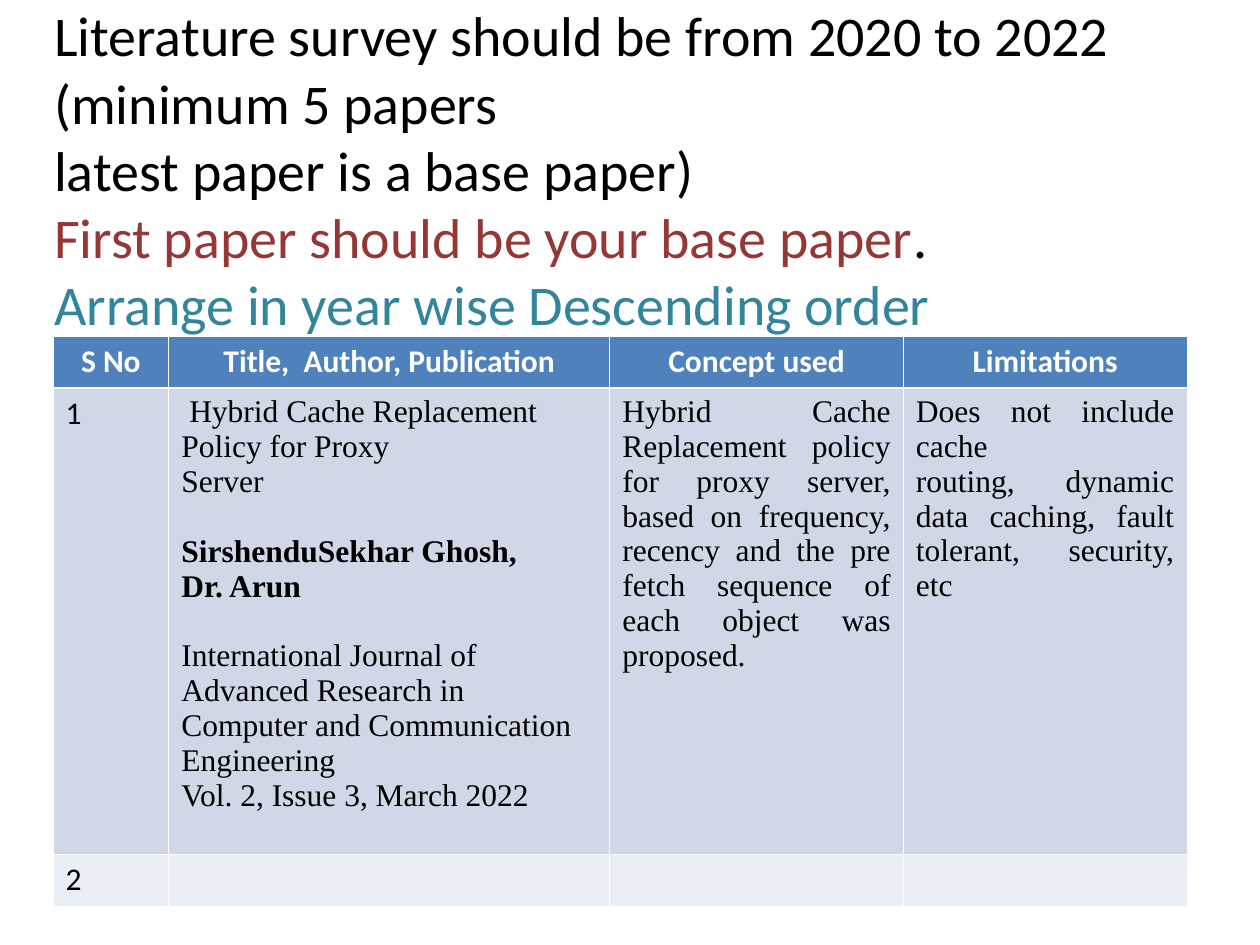
from pptx import Presentation as Deck
from pptx.util import Inches as In, Pt
from pptx.dml.color import RGBColor as Rgb
from pptx.enum.text import MSO_ANCHOR as Anchor, MSO_AUTO_SIZE as Fit, PP_ALIGN as Align
from pptx.oxml import parse_xml

TITLE = [
    [("Literature survey should be from 2020 to 2022 (minimum 5 papers", "black")],
    [("latest paper is a base paper) ", "black")],
    [("First paper should be your base paper", "red"), (".", "black")],
    [("Arrange in year wise Descending order", "teal")],
]
HEAD = ["S No", "Title,  Author, Publication", "Concept used", "Limitations"]
PAPER = [
    [" Hybrid Cache Replacement Policy for Proxy", "Server"],
    ["SirshenduSekhar Ghosh,", "Dr. Arun"],
    ["International Journal of Advanced Research in Computer and "
     "Communication Engineering", "Vol. 2, Issue 3, March 2022"],
]
IDEA = ["Hybrid Cache Replacement policy for proxy server, based on frequency, "
        "recency and the pre fetch sequence of each object was proposed."]
LIMITS = ["Does not include cache",
          "routing, dynamic data caching, fault tolerant, security, etc"]
COLS = [0.92, 3.5, 2.33, 2.25]
ROWS = [0.41, 3.7, 0.41]

THEME = {
    "black": "000000", "white": "FFFFFF", "red": "953735", "teal": "31859C",
    "fills": ["4F81BD", "D0D8E8", "E9EDF4"],
    "title": {"name": "Calibri", "size": Pt(32), "bold": False},
    "head": {"name": "Calibri", "size": Pt(18), "bold": True},
    "mark": {"name": "Calibri", "size": Pt(18), "bold": False},
    "body": {"name": "Times New Roman", "size": Pt(18), "bold": False},
    "names": {"name": "Times New Roman", "size": Pt(18), "bold": True},
    "gap": Pt(20), "thin": 0.45, "thick": 1.47,
}
NS = "http://schemas.openxmlformats.org/drawingml/2006/main"


def put(obj, vals):
    for key, val in vals.items():
        setattr(obj, key, val)


def add_run(para, text, style, color):
    run = para.add_run()
    run.text = text
    put(run.font, THEME[style])
    run.font.color.rgb = Rgb.from_string(THEME[color])


def write(cell, lines, style, align=Align.LEFT, color="black", gap=0):
    frame = cell.text_frame
    for i, line in enumerate(lines):
        para = frame.add_paragraph() if frame.text else frame.paragraphs[0]
        put(para, {"alignment": align, "space_before": 0 if i else gap})
        add_run(para, line, style, color)


def edge(cell, side, width):
    cell._tc.get_or_add_tcPr().append(parse_xml(
        f'<a:ln{side} xmlns:a="{NS}" w="{Pt(width)}"><a:solidFill>'
        f'<a:srgbClr val="{THEME["white"]}"/></a:solidFill></a:ln{side}>'))


def add_title(slide):
    box = slide.shapes.title
    put(box, {"left": In(0.33), "top": In(1.25), "width": In(9), "height": In(1.25)})
    frame = box.text_frame
    put(frame, {"word_wrap": True, "auto_size": Fit.NONE,
                "vertical_anchor": Anchor.MIDDLE, "margin_bottom": In(1.12)})
    para = frame.paragraphs[0]
    para.alignment = Align.LEFT
    for i, line in enumerate(TITLE):
        if i:
            para.add_line_break()
        for text, color in line:
            add_run(para, text, "title", color)


def add_grid(slide):
    grid = slide.shapes.add_table(len(ROWS), len(COLS), In(0.42), In(2.67),
                                  In(sum(COLS)), In(sum(ROWS))).table
    grid.horz_banding = False
    for col, width in zip(grid.columns, COLS):
        col.width = In(width)
    for r, row in enumerate(grid.rows):
        row.height = In(ROWS[r])
        for cell in row.cells:
            for side in "LRTB":
                heavy = (r, side) in [(0, "B"), (1, "T")]
                edge(cell, side, THEME["thick" if heavy else "thin"])
            cell.fill.solid()
            cell.fill.fore_color.rgb = Rgb.from_string(THEME["fills"][r])
    for c, text in enumerate(HEAD):
        write(grid.cell(0, c), [text], "head", Align.CENTER, "white")
    for r in (1, 2):
        write(grid.cell(r, 0), [str(r)], "mark")
    for i, (part, style) in enumerate(zip(PAPER, ["body", "names", "body"])):
        write(grid.cell(1, 1), part, style, gap=THEME["gap"] if i else 0)
    write(grid.cell(1, 2), IDEA, "body", Align.JUSTIFY)
    write(grid.cell(1, 3), LIMITS, "body", Align.JUSTIFY)


def main():
    deck = Deck()
    put(deck, {"slide_width": In(10), "slide_height": In(7.5)})
    slide = deck.slides.add_slide(deck.slide_layouts[5])
    add_title(slide)
    add_grid(slide)
    deck.save("out.pptx")


if __name__ == "__main__":
    main()
